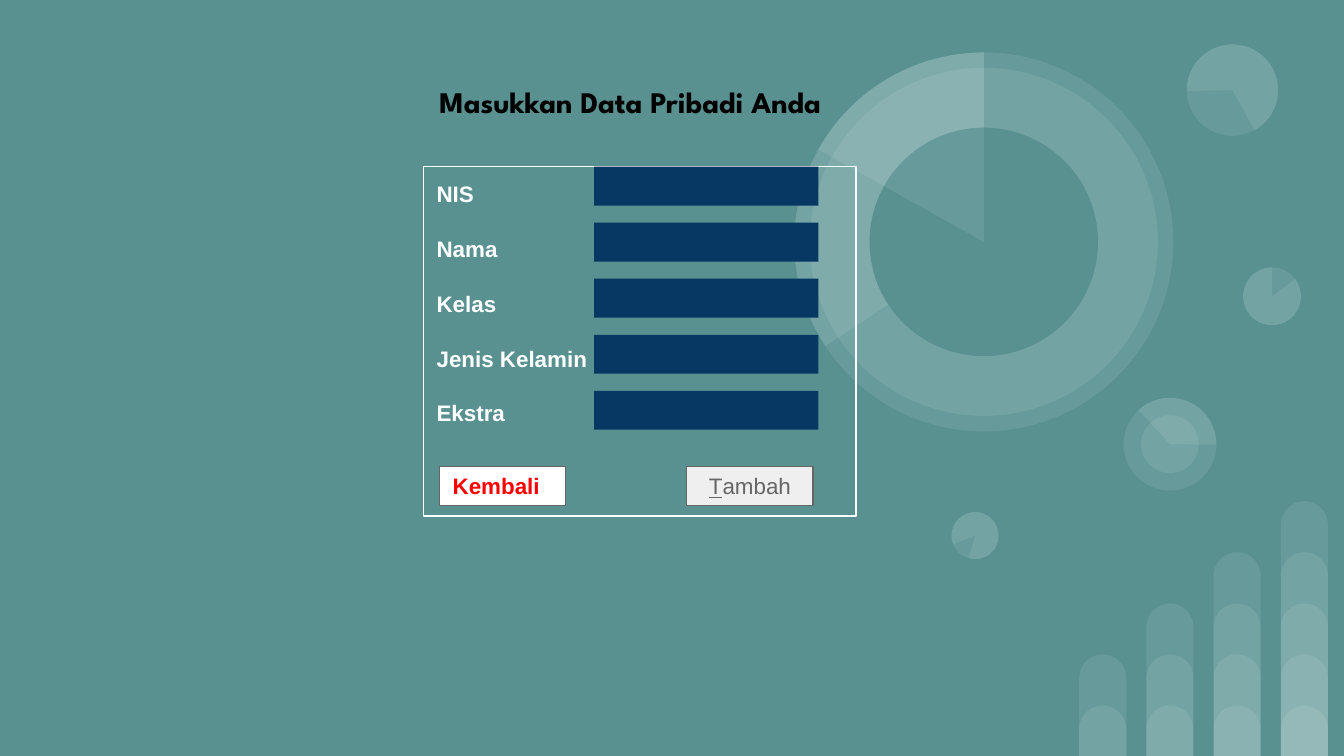
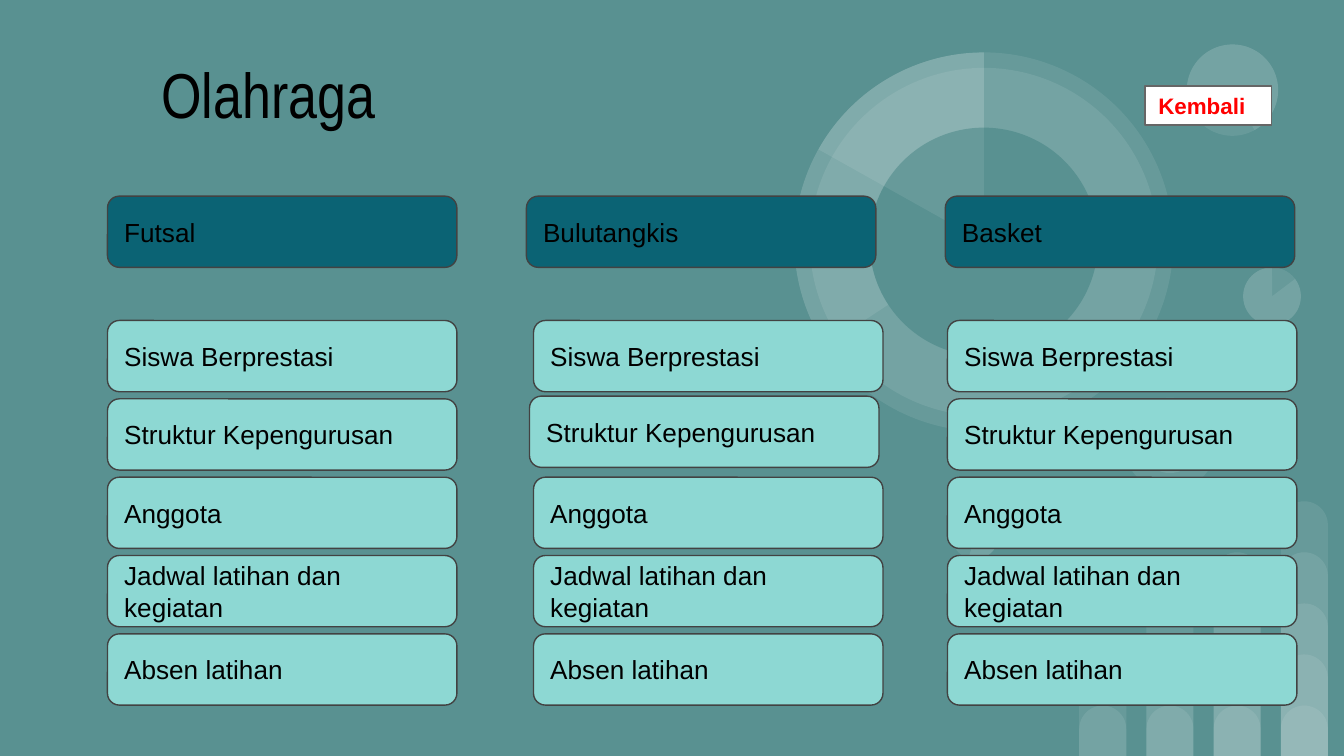
from dataclasses import dataclass

from lxml import etree
from pptx import Presentation
from pptx.dml.color import RGBColor as Rgb
from pptx.enum.shapes import MSO_SHAPE as Kind
from pptx.enum.text import MSO_ANCHOR as Anchor
from pptx.enum.text import MSO_AUTO_SIZE as Fit
from pptx.enum.text import PP_ALIGN as Align
from pptx.oxml.ns import qn
from pptx.util import Inches, Pt


@dataclass(frozen=True)
class Theme:
    back: str = "599191"
    white: str = "FFFFFF"
    black: str = "000000"
    navy: str = "073763"
    teal: str = "0B6374"
    mint: str = "8DD8D3"
    edge: str = "424242"
    gray: str = "666666"
    pale: str = "EFEFEF"
    red: str = "FF0000"
    veil: int = 9
    body: str = "Arial"
    label: int = 12
    card: int = 14
    head: int = 16
    title: int = 34


@dataclass(frozen=True)
class Box:
    """A region in grid units: the slide is 100 columns by 56.25 rows."""
    x: float
    y: float
    w: float
    h: float

    def area(self, x, y, w, h):
        return Box(self.x + x, self.y + y, w, h)

    def inset(self, gap):
        return self.area(gap, gap, self.w - 2 * gap, self.h - 2 * gap)

    def emu(self):
        return [Inches(n / 10) for n in (self.x, self.y, self.w, self.h)]


T = Theme()
PAGE = Box(0, 0, 100, 56.25)


def write(shape, *lines, size=T.label, font=T.body, color=T.black, bold=False,
          align=Align.LEFT, anchor=Anchor.MIDDLE, gap=0, key=0):
    """Fill a shape with paragraphs; key is the count of underlined first letters."""
    frame = shape.text_frame
    frame.word_wrap = True
    frame.auto_size = Fit.NONE
    frame.vertical_anchor = anchor
    frame.margin_left = frame.margin_right = Inches(0.1)
    frame.margin_top = frame.margin_bottom = Inches(0.1)
    for i, line in enumerate(lines):
        para = frame.add_paragraph() if i else frame.paragraphs[0]
        para.alignment = align
        para.space_before = Pt(gap if i else 0)
        for text, under in ((line[:key], True), (line[key:], False)):
            if text:
                run = para.add_run()
                run.text = text
                run.font.size = Pt(size)
                run.font.name = font
                run.font.bold = bold
                run.font.underline = under
                run.font.color.rgb = Rgb.from_string(color)


def draw(shapes, kind, box, fill=None, line=None, alpha=None, turn=0, adjust=()):
    shape = shapes.add_shape(kind, *box.emu())
    shape.shadow.inherit = False
    shape.rotation = turn
    for i, value in enumerate(adjust):
        shape.adjustments[i] = value
    if fill:
        shape.fill.solid()
        shape.fill.fore_color.rgb = Rgb.from_string(fill)
    else:
        shape.fill.background()
    if line:
        shape.line.color.rgb = Rgb.from_string(line)
        shape.line.width = Pt(0.75)
    else:
        shape.line.fill.background()
    if alpha:
        color = shape.element.spPr.find(qn("a:solidFill"))[0]
        etree.SubElement(color, qn("a:alpha"), val=str(alpha * 1000))
    return shape


def ghost(shapes, kind, box, turn=0, adjust=()):
    """Draw a sheer white shape."""
    return draw(shapes, kind, box, T.white, alpha=T.veil, turn=turn, adjust=adjust)


def wedge(shapes, box, start, end, turn=0):
    """Draw a sheer pie slice between two angles in degrees."""
    ghost(shapes, Kind.PIE, box, turn, (start * 0.6, end * 0.6))


def bars(shapes, box):
    """Draw four stacks of bars, each one step taller than the last."""
    for col in range(4):
        for step in range(col + 2):
            tall = 3.75 + 3.8 * step
            ghost(shapes, Kind.ROUND_2_SAME_RECTANGLE,
                  box.area(5 * col, box.h - tall, 3.5, tall), adjust=(0.5, 0))


def dials(shapes, box):
    """Draw the small pies and the large ring."""
    for x, y, size, turn, start, end in (
            (33.4, 16.6, 4.3, 0, 322.95, 270),
            (11.7, 34.8, 3.5, 196.2, 322.95, 270),
            (24.5, 26.3, 6.9, 90, 137.41, 270.77),
            (29.2, 0, 6.8, 215.9, 322.95, 205.23)):
        spot = box.area(x, y, size, size)
        ghost(shapes, Kind.OVAL, spot, turn)
        wedge(shapes, spot, start, end, turn)
    ghost(shapes, Kind.OVAL, box.area(25.8, 27.6, 4.3, 4.3))

    ring = box.area(0, 0.6, 28.2, 28.2)
    ghost(shapes, Kind.OVAL, ring)
    ghost(shapes, Kind.OVAL, ring.inset(1.15))
    wedge(shapes, ring, 146.69, 270)
    draw(shapes, Kind.OVAL, ring.inset(5.6), T.back)
    wedge(shapes, ring, 209.24, 270)


def dress(deck, layout, slide):
    """Set the shared background and move the scenery to the layout."""
    fill = deck.slide_master.background.fill
    fill.solid()
    fill.fore_color.rgb = Rgb.from_string(T.back)
    for paint, box in ((dials, PAGE.area(59.1, 3.3, 37.7, 38.3)),
                       (bars, PAGE.area(80.3, 37.3, 18.5, 18.95))):
        group = slide.shapes.add_group_shape()
        paint(group.shapes, box)
        layout.shapes.element.insert(2, group.element)


def title(slide, text, box, **style):
    shape = slide.shapes.title
    shape.left, shape.top, shape.width, shape.height = box.emu()
    write(shape, text, anchor=Anchor.TOP, **style)


def button(slide, box, text, fill=T.white, **style):
    shape = draw(slide.shapes, Kind.RECTANGLE, box, fill, T.gray)
    write(shape, text, **style)


def back(slide, box):
    button(slide, box, "Kembali", color=T.red, bold=True)


def form(slide, box):
    labels = ("NIS", "Nama", "Kelas", "Jenis Kelamin", "Ekstra")
    panel = draw(slide.shapes, Kind.RECTANGLE, box, line=T.white)
    write(panel, *labels, color=T.white, bold=True, anchor=Anchor.TOP, gap=15)
    for row in range(len(labels)):
        draw(slide.shapes, Kind.RECTANGLE,
             box.area(12.7, 4.17 * row, 16.7, 2.9), T.navy)
    button(slide, box.area(19.6, 22.3, 9.4, 2.9), "Tambah", T.pale,
           color=T.gray, align=Align.CENTER, key=1)
    back(slide, box.area(1.2, 22.3, 9.4, 2.9))


def card(slide, box, text, fill):
    shape = draw(slide.shapes, Kind.ROUNDED_RECTANGLE, box, fill, T.edge,
                 adjust=(0.167,))
    write(shape, text, size=T.card)


def board(slide, box):
    """Place three sports, each a header above a column of cards."""
    items = ("Siswa Berprestasi", "Struktur Kepengurusan", "Anggota",
             "Jadwal latihan dan kegiatan", "Absen latihan")
    sports = (("Futsal", 0), ("Bulutangkis", 31.7), ("Basket", 62.5))
    nudge = {("Bulutangkis", 1): (-0.3, -0.2)}
    for col, (sport, left) in enumerate(sports):
        card(slide, box.area(31.17 * col, 0, 26, 5.3), sport, T.teal)
        for row, item in enumerate(items):
            dx, dy = nudge.get((sport, row), (0, 0))
            spot = box.area(left + dx, 9.25 + 5.83 * row + dy, 26, 5.3)
            card(slide, spot, item, T.mint)


def entry(slide):
    title(slide, "Masukkan Data Pribadi Anda", PAGE.area(27.2, 5.2, 39.4, 4.7),
          size=T.head, font="League Spartan", bold=True, align=Align.CENTER)
    form(slide, PAGE.area(31.5, 12.4, 32.2, 26))


def sport(slide):
    title(slide, "Olahraga", PAGE.area(11, 3.1, 28.2, 7.7),
          size=T.title, font="Arial Narrow")
    board(slide, PAGE.area(8, 14.6, 88.5, 37.9))
    back(slide, PAGE.area(85.2, 6.4, 9.4, 2.9))


def main():
    deck = Presentation()
    deck.slide_width, deck.slide_height = PAGE.emu()[2:]
    layout = deck.slide_layouts.get_by_name("Title Only")
    first, second = (deck.slides.add_slide(layout) for _ in range(2))
    dress(deck, layout, first)
    entry(first)
    sport(second)
    deck.save("out.pptx")


if __name__ == "__main__":
    main()
